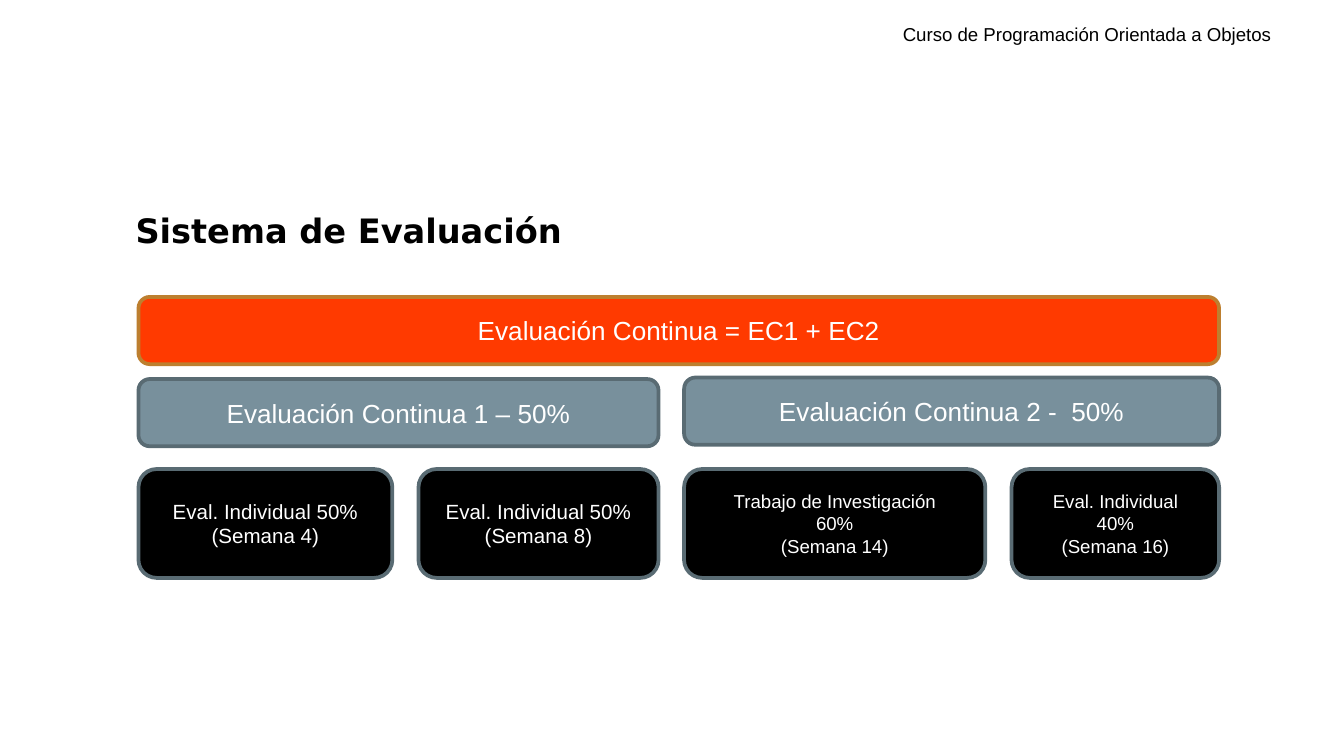
from pptx import Presentation
from pptx.dml.color import RGBColor
from pptx.enum import shapes, text
from pptx.util import Pt

COLORS = {
    "black": "000000",
    "white": "FFFFFF",
    "orange": "FF3A00",
    "bronze": "BD7F2F",
    "slate": "78909C",
    "dark_slate": "596B73",
}
BAR_HEIGHT = 36
EXAM_HEIGHT = 58.3
EXAM_GAP = 14


def color(name):
    return RGBColor.from_string(COLORS[name])


def write(frame, wording, size, ink, font="Arial", bold=False, align=None):
    frame.word_wrap = True
    frame.text = wording
    for paragraph in frame.paragraphs:
        paragraph.alignment = align
        for run in paragraph.runs:
            run.font.name = font
            run.font.size = Pt(size)
            run.font.bold = bold
            run.font.color.rgb = color(ink)


def add_label(slide, box, wording, size, **style):
    label = slide.shapes.add_textbox(*map(Pt, box))
    write(label.text_frame, wording, size, "black", **style)
    return label.text_frame


def add_card(slide, box, wording, size, fill, border):
    card = slide.shapes.add_shape(
        shapes.MSO_SHAPE.ROUNDED_RECTANGLE, *map(Pt, box))
    card.shadow.inherit = False
    card.fill.solid()
    card.fill.fore_color.rgb = color(fill)
    card.line.color.rgb = color(border)
    card.line.width = Pt(2)
    card.text_frame.vertical_anchor = text.MSO_ANCHOR.MIDDLE
    write(card.text_frame, wording, size, "white", align=text.PP_ALIGN.CENTER)


def add_title(slide, box):
    frame = add_label(slide, box, "Sistema de Evaluación", 18,
                      font="DejaVu Sans", bold=True)
    frame.vertical_anchor = text.MSO_ANCHOR.BOTTOM
    frame.margin_left = frame.margin_right = Pt(7.2)
    frame.margin_top = frame.margin_bottom = Pt(7.2)


def add_branch(slide, box, heading, exams, first_width, exam_size):
    left, top, width, height = box
    add_card(slide, (left, top, width, BAR_HEIGHT), heading, 14,
             "slate", "dark_slate")
    exam_top = top + height - EXAM_HEIGHT
    exam_left = left
    for exam, exam_width in zip(
            exams, (first_width, width - first_width - EXAM_GAP)):
        add_card(slide, (exam_left, exam_top, exam_width, EXAM_HEIGHT), exam,
                 exam_size, "black", "dark_slate")
        exam_left += exam_width + EXAM_GAP


def add_evaluation(slide, box):
    left, top, width, height = box
    add_card(slide, (left, top, width, BAR_HEIGHT),
             "Evaluación Continua = EC1 + EC2", 14, "orange", "bronze")
    add_branch(slide, (left, top + 44, 278.6, height - 44),
               "Evaluación Continua 1 – 50%",
               ("Eval. Individual 50%\n(Semana 4)",
                "Eval. Individual 50%\n(Semana 8)"), 136, 11)
    add_branch(slide, (left + width - 286.6, top + 43.2, 286.6, height - 43.2),
               "Evaluación Continua 2 -  50%",
               ("Trabajo de Investigación\n60%\n(Semana 14)",
                "Eval. Individual\n40%\n(Semana 16)"), 161.4, 10)


def main():
    presentation = Presentation()
    presentation.slide_width = Pt(720)
    presentation.slide_height = Pt(405)
    slide = presentation.slides.add_slide(presentation.slide_layouts[6])
    add_title(slide, (65.5, 95.8, 671, 45.4))
    add_evaluation(slide, (74.2, 159.1, 578.9, 150.5))
    add_label(slide, (476.6, 8.6, 225.4, 19.4),
              "Curso de Programación Orientada a Objetos", 10)
    presentation.save("out.pptx")


if __name__ == "__main__":
    main()
